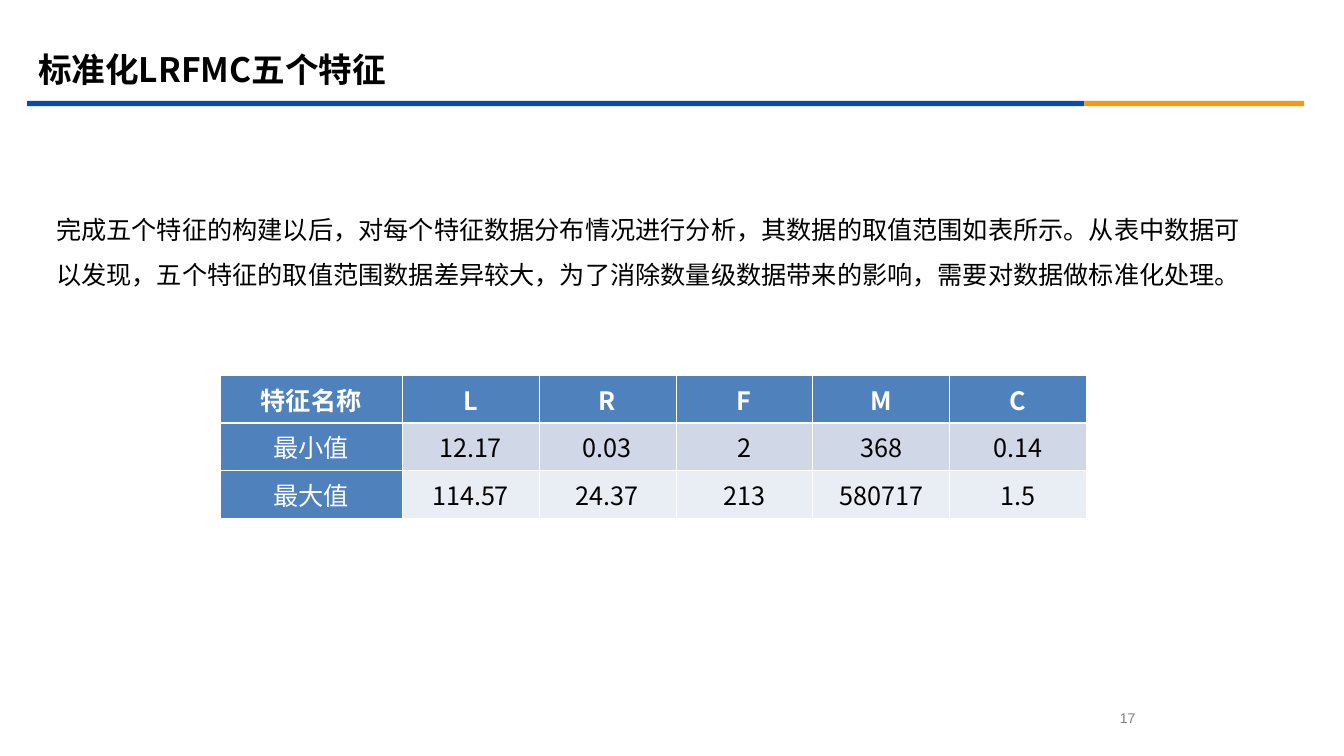
from pptx import Presentation
from pptx.dml.color import RGBColor
from pptx.enum.shapes import MSO_SHAPE
from pptx.enum.text import MSO_ANCHOR, PP_ALIGN
from pptx.oxml import parse_xml
from pptx.oxml.ns import nsdecls
from pptx.util import Pt

SANS = "Noto Sans CJK SC"
HUES = {
    "black": "000000",
    "white": "FFFFFF",
    "gray": "7F7F7F",
    "blue": "064BB2",
    "orange": "FB9708",
    "head": "4F81BD",
    "dark": "D0D8E8",
    "light": "E9EDF4",
}
TITLE = "标准化LRFMC五个特征"
BODY = (
    "完成五个特征的构建以后，对每个特征数据分布情况进行分析，其数据的取值范围如表所示。"
    "从表中数据可以发现，五个特征的取值范围数据差异较大，为了消除数量级数据带来的影响，"
    "需要对数据做标准化处理。"
)
ROWS = [
    ["特征名称", "L", "R", "F", "M", "C"],
    ["最小值", "12.17", "0.03", "2", "368", "0.14"],
    ["最大值", "114.57", "24.37", "213", "580717", "1.5"],
]
BANDS = ["head", "dark", "light"]


def apply(item, values):
    for name, value in values.items():
        setattr(item, name, value)


def paint(fill, hue):
    fill.solid()
    fill.fore_color.rgb = RGBColor.from_string(HUES[hue])


def write(frame, text, size, hue="black", face=SANS, bold=False, **form):
    para = frame.paragraphs[0]
    apply(para, form)
    run = para.add_run()
    run.text = text
    apply(run.font, {"size": Pt(size), "name": face, "bold": bold})
    run.font.color.rgb = RGBColor.from_string(HUES[hue])
    props = run.font.fill._xPr
    props.append(parse_xml(f'<a:ea {nsdecls("a")} typeface="{face}"/>'))


def add_text(slide, box, text, size, anchor=MSO_ANCHOR.TOP, **form):
    frame = slide.shapes.add_textbox(*map(Pt, box)).text_frame
    apply(frame, {"word_wrap": True, "vertical_anchor": anchor})
    write(frame, text, size, **form)


def add_bar(slide, left, width, hue):
    bar = slide.shapes.add_shape(
        MSO_SHAPE.RECTANGLE, Pt(left), Pt(72), Pt(width), Pt(3.8)
    )
    bar.shadow.inherit = False
    bar.line.fill.background()
    paint(bar.fill, hue)


def add_edge(cell, side, width):
    cell._tc.get_or_add_tcPr().append(parse_xml(
        f'<a:ln{side} {nsdecls("a")} w="{Pt(width)}"><a:solidFill>'
        f'<a:srgbClr val="{HUES["white"]}"/></a:solidFill></a:ln{side}>'
    ))


def fill_cell(cell, text, row, col):
    apply(cell, {
        "vertical_anchor": MSO_ANCHOR.MIDDLE,
        "margin_left": Pt(3),
        "margin_right": Pt(3),
        "margin_top": Pt(3.6),
        "margin_bottom": Pt(3.6),
    })
    thick = {(0, "B"), (1, "T")}
    for side in "LRTB":
        add_edge(cell, side, 1.47 if (row, side) in thick else 0.45)
    label = row == 0 or col == 0
    paint(cell.fill, "head" if label else BANDS[row])
    write(cell.text_frame, text, 18, hue="white" if label else "black",
          bold=row == 0, alignment=PP_ALIGN.CENTER)


def add_grid(slide):
    count = len(ROWS[0])
    grid = slide.shapes.add_table(
        len(ROWS), count, Pt(157.2), Pt(268), Pt(619.2), Pt(102.3)
    ).table
    for col in range(count):
        grid.columns[col].width = Pt(97.8 if col else 130.2)
    for row, texts in enumerate(ROWS):
        grid.rows[row].height = Pt(34.1)
        for col, text in enumerate(texts):
            fill_cell(grid.cell(row, col), text, row, col)


def main():
    deck = Presentation()
    apply(deck, {"slide_width": Pt(960.5), "slide_height": Pt(540)})
    slide = deck.slides.add_slide(deck.slide_layouts[6])
    add_text(slide, (783.5, 503.3, 44.6, 18), "17", 10, hue="gray",
             face="Arial", alignment=PP_ALIGN.CENTER)
    add_bar(slide, 19.4, 755.6, "blue")
    add_bar(slide, 775, 157, "orange")
    add_text(slide, (33.1, 139, 874.8, 344), BODY, 18,
             line_spacing=Pt(32.2))
    add_text(slide, (20.2, 28.1, 864, 41.8), TITLE, 24,
             anchor=MSO_ANCHOR.MIDDLE, bold=True)
    add_grid(slide)
    deck.save("out.pptx")


if __name__ == "__main__":
    main()
